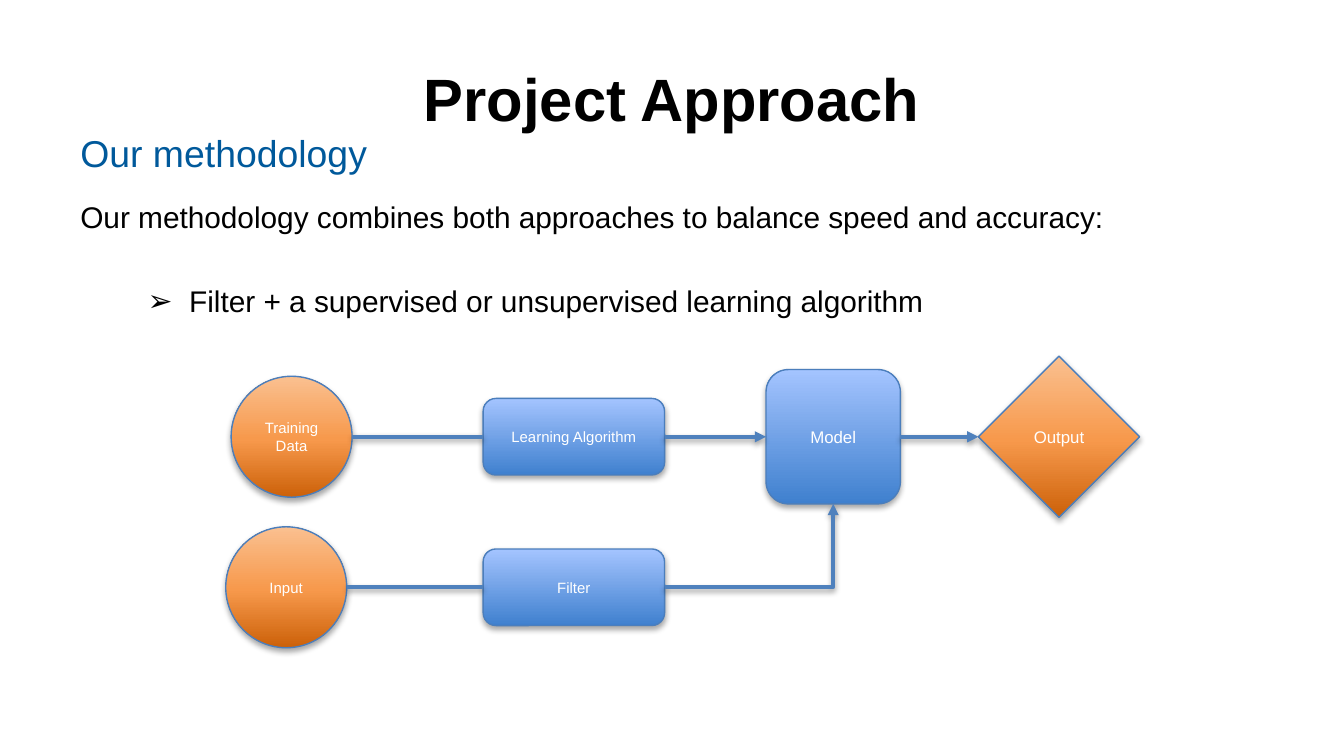
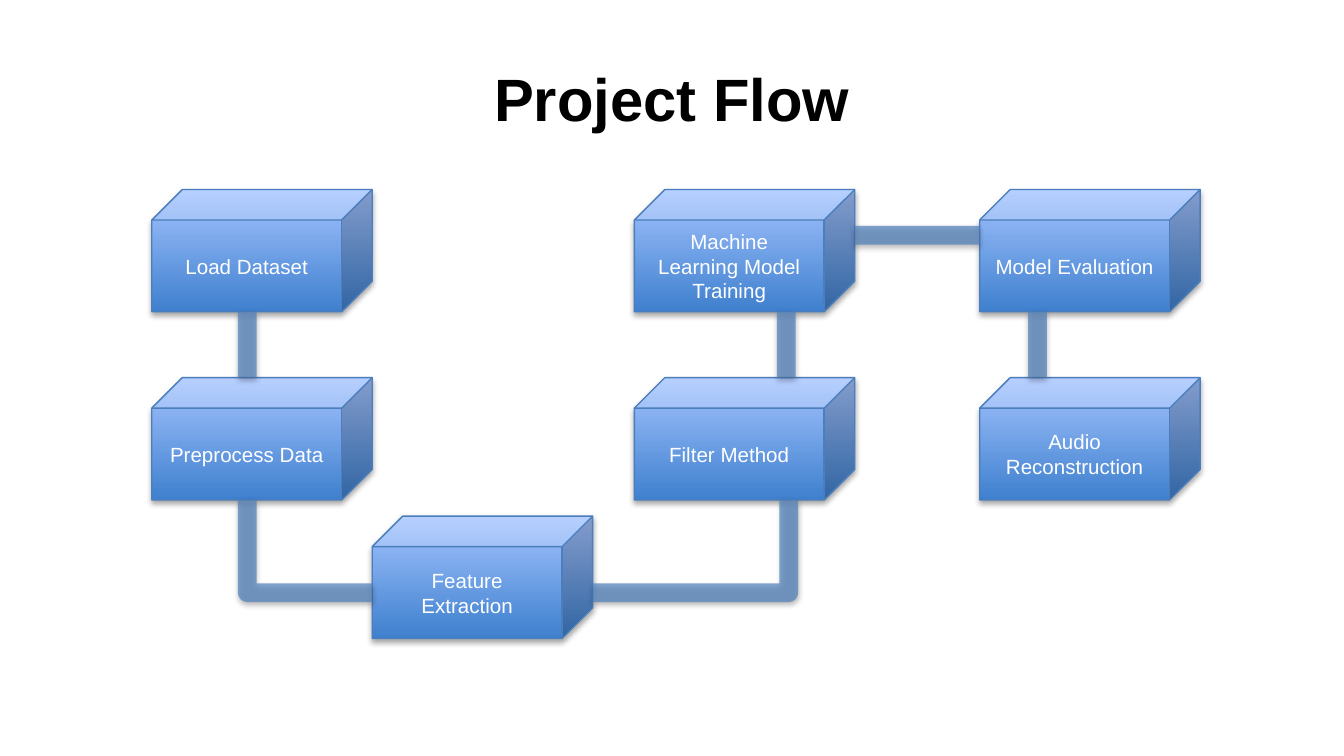
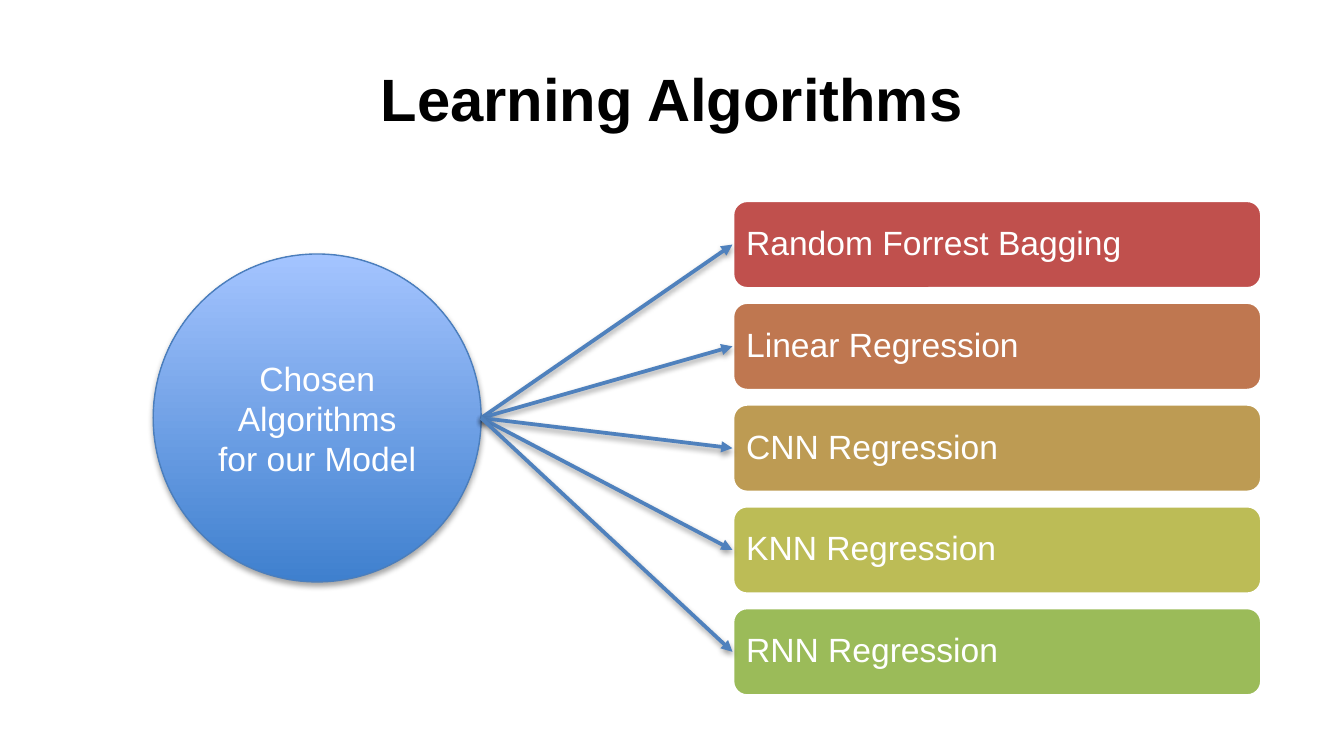
from lxml.etree import SubElement
from pptx import Presentation
from pptx.dml.color import RGBColor
from pptx.enum.shapes import MSO_CONNECTOR as LINK, MSO_SHAPE as SHAPE
from pptx.enum.text import MSO_ANCHOR, PP_ALIGN
from pptx.oxml.ns import qn
from pptx.util import Inches, Pt

FONT = "Arial"
BLACK = RGBColor(0, 0, 0)
WHITE = RGBColor(0xFF, 0xFF, 0xFF)
HEADING = RGBColor(0x00, 0x59, 0x9B)
OUTLINE = RGBColor(0x4B, 0x7E, 0xBC)
LINK_BLUE = RGBColor(0x4F, 0x81, 0xBD)
# Gradient stops (percent, colour), from the bottom edge up
BLUE = [(0, RGBColor(0x3F, 0x80, 0xCE)), (100, RGBColor(0xA4, 0xC4, 0xFF))]
ORANGE = [(0, RGBColor(0xCC, 0x61, 0x09)), (48, RGBColor(0xF7, 0x99, 0x4C)),
          (100, RGBColor(0xFA, 0xC0, 0x90))]

# Project Approach: label, shape, gradient, centre x, row, width, height, text size
ROWS = [3.25, 4.37]
NODES = [
    ("Training Data", SHAPE.OVAL, ORANGE, 2.17, 0, 0.9, 0.9, 8),
    ("Input", SHAPE.OVAL, ORANGE, 2.13, 1, 0.9, 0.9, 8),
    ("Learning Algorithm", SHAPE.ROUNDED_RECTANGLE, BLUE, 4.27, 0, 1.35, 0.57, 8),
    ("Filter", SHAPE.ROUNDED_RECTANGLE, BLUE, 4.27, 1, 1.35, 0.57, 8),
    ("Model", SHAPE.ROUNDED_RECTANGLE, BLUE, 6.2, 0, 1, 1, 9),
    ("Output", SHAPE.FLOWCHART_DECISION, ORANGE, 7.88, 0, 1.2, 1.2, 9),
]
# From, to, arrowhead
NODE_LINKS = [
    ("Training Data", "Learning Algorithm", False),
    ("Input", "Filter", False),
    ("Learning Algorithm", "Model", True),
    ("Model", "Output", True),
]

# Project Flow: label, left, top
CUBE_W, CUBE_H = 1.64, 0.91
COL_1, COL_2, COL_3, COL_4 = 1.13, 2.77, 4.72, 7.29
TOP, MIDDLE, BOTTOM = 1.41, 2.81, 3.84
CUBES = [
    ("Load Dataset", COL_1, TOP),
    ("Preprocess Data", COL_1, MIDDLE),
    ("Feature Extraction", COL_2, BOTTOM),
    ("Filter Method", COL_3, MIDDLE),
    ("Machine Learning Model Training", COL_3, TOP),
    ("Model Evaluation", COL_4, TOP),
    ("Audio Reconstruction", COL_4, MIDDLE),
]
PIPE_X = [1.84, 5.85, 7.72]

# Learning Algorithms
ALGORITHMS = [
    ("Random Forrest Bagging", RGBColor(0xC0, 0x50, 0x4D)),
    ("Linear Regression", RGBColor(0xBF, 0x77, 0x50)),
    ("CNN Regression", RGBColor(0xBD, 0x9B, 0x53)),
    ("KNN Regression", RGBColor(0xBC, 0xBC, 0x56)),
    ("RNN Regression", RGBColor(0x9B, 0xBB, 0x59)),
]
BAR_X, BAR_W, BAR_H = 5.45, 3.94, 0.66
FIRST_BAR, LAST_BAR = 1.49, 4.52
HUB_X, HUB_Y, HUB_SIZE = 1.14, 1.89, 2.44


def style(p, size, color, bold=False, align=PP_ALIGN.LEFT):
    p.alignment = align
    for r in p.runs:
        r.font.name, r.font.size, r.font.bold = FONT, Pt(size), bold
        r.font.color.rgb = color


def add_shadow(spPr, alpha, dist):
    effects = spPr.find(qn("a:effectLst"))
    if effects is None:
        effects = SubElement(spPr, qn("a:effectLst"))
    shadow = SubElement(effects, qn("a:outerShdw"), blurRad="40000", dist=str(dist),
                        dir="5400000", rotWithShape="0")
    black = SubElement(shadow, qn("a:srgbClr"), val="000000")
    SubElement(black, qn("a:alpha"), val=str(alpha * 1000))


def add_text(s, text, x, y, w, h, size, color):
    tf = s.shapes.add_textbox(Inches(x), Inches(y), Inches(w), Inches(h)).text_frame
    tf.word_wrap = True
    tf.text = text
    style(tf.paragraphs[0], size, color)
    tf.paragraphs[0].space_before = Pt(size * 0.2)
    return tf


def add_slide(prs, title):
    s = prs.slides.add_slide(prs.slide_layouts[6])
    tf = add_text(s, title, 0.5, 0.26, 9, 0.94, 32, BLACK)
    tf.vertical_anchor = MSO_ANCHOR.MIDDLE
    tf.paragraphs[0].space_before = Pt(0)
    style(tf.paragraphs[0], 32, BLACK, bold=True, align=PP_ALIGN.CENTER)
    return s


def add_block(s, kind, text, x, y, w, h, size, align=PP_ALIGN.CENTER):
    sp = s.shapes.add_shape(kind, Inches(x), Inches(y), Inches(w), Inches(h))
    sp.shadow.inherit = False
    tf = sp.text_frame
    tf.word_wrap = True
    tf.vertical_anchor = MSO_ANCHOR.MIDDLE
    tf.text = text
    style(tf.paragraphs[0], size, WHITE, align=align)
    return sp


def add_glossy(s, kind, text, x, y, w, h, size, stops=BLUE):
    """Block with a vertical gradient, thin outline and soft shadow."""
    sp = add_block(s, kind, text, x, y, w, h, size)
    sp.fill.gradient()
    sp.fill.gradient_angle = 90
    spPr = sp._element.spPr
    gs_list = spPr.find(qn("a:gradFill")).find(qn("a:gsLst"))
    gs_list.clear()
    for pos, color in stops:
        gs = SubElement(gs_list, qn("a:gs"), pos=str(pos * 1000))
        SubElement(gs, qn("a:srgbClr"), val=str(color))
    sp.line.color.rgb = OUTLINE
    sp.line.width = Pt(0.75)
    add_shadow(spPr, 35, 23000)


def add_link(s, start, end, width=2, arrow=False, bent=False, opacity=100):
    """Line from start to end; a bent one runs across first, then up."""
    c = s.shapes.add_connector(LINK.ELBOW if bent else LINK.STRAIGHT,
                               *(Inches(v) for v in (*start, *end)))
    c.line.color.rgb = LINK_BLUE
    c.line.width = Pt(width)
    spPr = c._element.spPr
    ln = spPr.find(qn("a:ln"))
    if bent:
        spPr.find(qn("a:prstGeom")).set("prst", "bentConnector2")
    if opacity < 100:
        color = ln.find(qn("a:solidFill")).find(qn("a:srgbClr"))
        SubElement(color, qn("a:alpha"), val=str(opacity * 1000))
    if arrow:
        SubElement(ln, qn("a:tailEnd"), type="triangle")
    add_shadow(spPr, 38, 20000)


def build_approach(prs):
    s = add_slide(prs, "Project Approach")
    add_text(s, "Our methodology", 0.5, 0.92, 9, 0.37, 20, HEADING)
    tf = add_text(s, "Our methodology combines both approaches to balance speed and accuracy:",
                  0.5, 1.43, 9, 3.39, 16, BLACK)
    p = tf.add_paragraph()
    p.text = "Filter + a supervised or unsupervised learning algorithm"
    p.level = 1
    style(p, 16, BLACK)
    p.space_before = Pt(26)
    pPr = p._p.get_or_add_pPr()
    pPr.set("marL", str(Inches(0.81)))
    pPr.set("indent", str(Inches(-0.31)))
    SubElement(pPr, qn("a:buFont"), typeface=FONT)
    SubElement(pPr, qn("a:buChar"), char="➢")

    sides = {}
    for text, kind, stops, cx, row, w, h, size in NODES:
        cy = ROWS[row]
        add_glossy(s, kind, text, cx - w / 2, cy - h / 2, w, h, size, stops)
        sides[text] = (cx - w / 2, cy), (cx + w / 2, cy), (cx, cy + h / 2)
    for source, target, arrow in NODE_LINKS:
        add_link(s, sides[source][1], sides[target][0], arrow=arrow)
    add_link(s, sides["Filter"][1], sides["Model"][2], arrow=True, bent=True)


def build_flow(prs):
    s = add_slide(prs, "Project Flow")
    for text, x, y in CUBES:
        add_glossy(s, SHAPE.CUBE, text, x, y, CUBE_W, CUBE_H, 11)
    pipes = [((x, TOP + CUBE_H), (x, MIDDLE), False) for x in PIPE_X]
    across, turn, under = 1.75, 4.41, MIDDLE + CUBE_H
    pipes += [
        ((COL_3 + CUBE_W, across), (COL_4, across), False),
        ((COL_2, turn), (PIPE_X[0], under), True),
        ((COL_2 + CUBE_W, turn), (PIPE_X[1] + 0.02, under), True),
    ]
    for start, end, bent in pipes:
        add_link(s, start, end, width=10, bent=bent, opacity=70)


def build_algorithms(prs):
    s = add_slide(prs, "Learning Algorithms")
    pitch = (LAST_BAR - FIRST_BAR) / (len(ALGORITHMS) - 1)
    tops = [FIRST_BAR + i * pitch for i in range(len(ALGORITHMS))]
    for (text, color), y in zip(ALGORITHMS, tops):
        bar = add_block(s, SHAPE.ROUNDED_RECTANGLE, text, BAR_X, y, BAR_W, BAR_H, 18,
                        align=PP_ALIGN.LEFT)
        bar.fill.solid()
        bar.fill.fore_color.rgb = color
        bar.line.color.rgb = WHITE
        bar.line.width = Pt(2)
        bar.text_frame.margin_left = Inches(0.07)
        bar.text_frame.paragraphs[0].line_spacing = 0.9
    add_glossy(s, SHAPE.OVAL, "Chosen Algorithms for our Model",
               HUB_X, HUB_Y, HUB_SIZE, HUB_SIZE, 18)
    for y in tops:
        add_link(s, (HUB_X + HUB_SIZE, HUB_Y + HUB_SIZE / 2), (BAR_X, y + BAR_H / 2),
                 arrow=True)


def main():
    prs = Presentation()
    prs.slide_width = Inches(10)
    prs.slide_height = prs.slide_width * 9 // 16
    build_approach(prs)
    build_flow(prs)
    build_algorithms(prs)
    prs.save("out.pptx")


if __name__ == "__main__":
    main()
